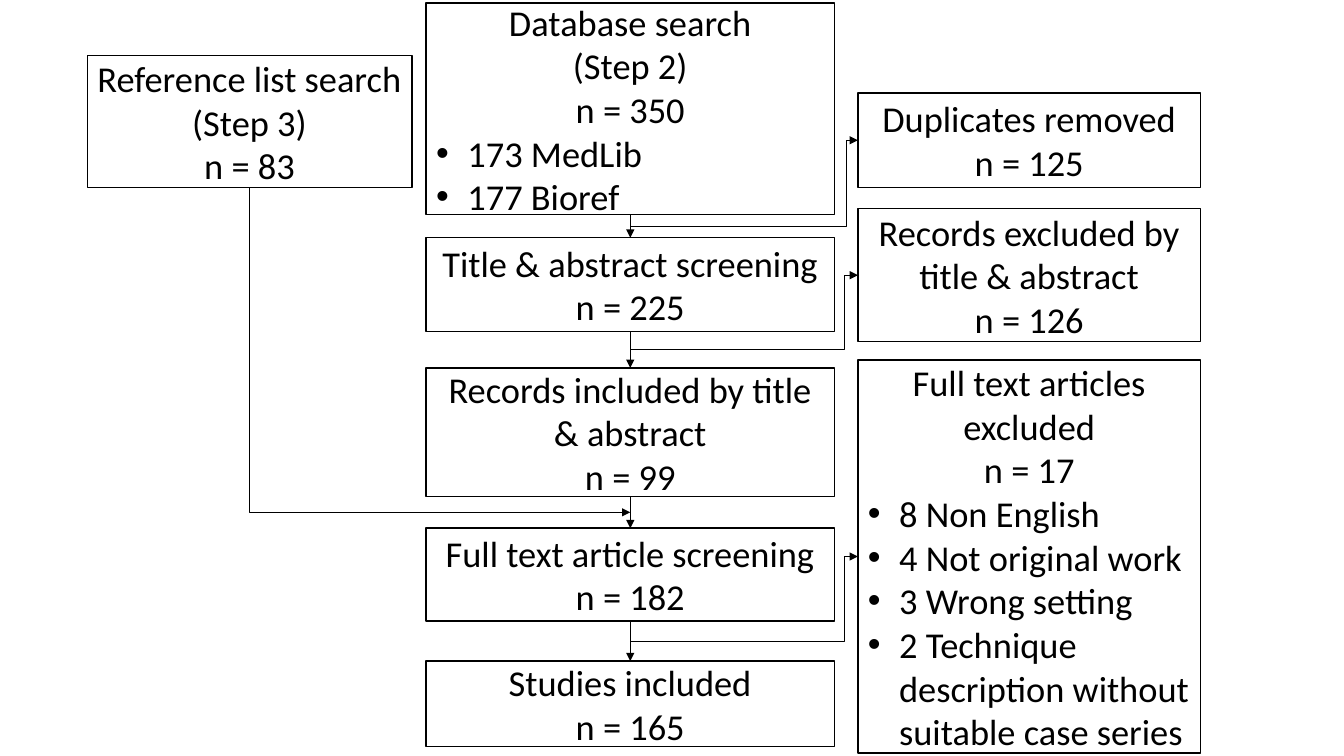
from collections import namedtuple

from lxml.etree import SubElement
from pptx import Presentation
from pptx.dml.color import RGBColor
from pptx.enum.shapes import MSO_CONNECTOR, MSO_SHAPE
from pptx.enum.text import MSO_ANCHOR, PP_ALIGN
from pptx.oxml.ns import qn
from pptx.util import Cm, Pt

COLORS = {"ink": "000000", "paper": "FFFFFF"}
FONT, SIZE = "Calibri", 26
INDENT = 0.79  # hanging indent of bullets, cm

# All regions are in centimetres
Region = namedtuple("Region", "left top width height")

# Top and height within the column, centred lines, bulleted lines
SCREENING = [
    (0, 5.33, ["Database search", "(Step 2)", "n = 350"],
     ["173 MedLib", "177 Bioref"]),
    (5.91, 2.36, ["Title & abstract screening", "n = 225"], []),
    (9.19, 3.24, ["Records included by title & abstract", "n = 99"], []),
    (13.23, 2.34, ["Full text article screening", "n = 182"], []),
    (16.58, 2.16, ["Studies included", "n = 165"], []),
]
EXCLUSIONS = [
    (0, 2.39, ["Duplicates removed", "n = 125"], []),
    (2.92, 3.35, ["Records excluded by title & abstract", "n = 126"], []),
    (6.73, 9.91, ["Full text articles excluded", "n = 17"],
     ["8 Non English", "4 Not original work", "3 Wrong setting",
      "2 Technique description without suitable case series"]),
]
REFERENCES = [(0, 3.33, ["Reference list search (Step 3)", "n = 83"], [])]


def color(name):
    return RGBColor.from_string(COLORS[name])


def write(para, text, size=SIZE, ink="ink", align=PP_ALIGN.CENTER, bullet=False):
    para.alignment = PP_ALIGN.LEFT if bullet else align
    span = para.add_run()
    span.text = text
    span.font.name, span.font.size = FONT, Pt(size)
    span.font.color.rgb = color(ink)
    if bullet:
        settings = para._p.get_or_add_pPr()
        settings.set("marL", str(Cm(INDENT)))
        settings.set("indent", str(-Cm(INDENT)))
        SubElement(settings, qn("a:buFont"), typeface="Arial")
        SubElement(settings, qn("a:buChar"), char="•")


def add_box(page, region, lines, bullets):
    box = page.shapes.add_shape(MSO_SHAPE.RECTANGLE, *map(Cm, region))
    box.shadow.inherit = False
    box.fill.solid()
    box.fill.fore_color.rgb = color("paper")
    box.line.color.rgb = color("ink")
    box.line.width = Pt(1)
    frame = box.text_frame
    frame.word_wrap = True
    frame.vertical_anchor = MSO_ANCHOR.MIDDLE
    frame.margin_top = frame.margin_bottom = 0
    for index, text in enumerate(lines + bullets):
        para = frame.add_paragraph() if index else frame.paragraphs[0]
        write(para, text, bullet=index >= len(lines))
    return box


def add_arrow(page, start, end, bend=None):
    """Straight arrow, or an elbow turning at the share `bend` of its width."""
    kind = MSO_CONNECTOR.STRAIGHT if bend is None else MSO_CONNECTOR.ELBOW
    arrow = page.shapes.add_connector(kind, *map(Cm, start + end))
    arrow.line.color.rgb = color("ink")
    arrow.line.width = Pt(0.5)
    properties = arrow._element.spPr
    SubElement(properties.find(qn("a:ln")), qn("a:tailEnd"), type="triangle")
    SubElement(properties, qn("a:effectLst"))
    if bend is not None:
        guides = properties.find(qn("a:prstGeom")).find(qn("a:avLst"))
        SubElement(guides, qn("a:gd"), name="adj1", fmla=f"val {round(bend * 100000)}")
    return arrow


def add_column(page, area, steps):
    """Stack boxes in the area and return their regions and shapes."""
    regions = [Region(area.left, area.top + top, area.width, height)
               for top, height, _, _ in steps]
    boxes = [add_box(page, region, lines, bullets)
             for region, (_, _, lines, bullets) in zip(regions, steps)]
    return regions, boxes


def add_screening(page, area):
    """Main column; returns the middle point of each gap between boxes."""
    regions, boxes = add_column(page, area, SCREENING)
    center = area.left + area.width / 2
    joints = []
    for index, (upper, lower) in enumerate(zip(regions, regions[1:])):
        bottom = upper.top + upper.height
        arrow = add_arrow(page, (center, bottom), (center, lower.top))
        arrow.begin_connect(boxes[index], 2)
        arrow.end_connect(boxes[index + 1], 0)
        joints.append((center, (bottom + lower.top) / 2))
    return joints


def add_exclusions(page, area, joints):
    """Right column, each box fed from a joint of the main column."""
    regions, _ = add_column(page, area, EXCLUSIONS)
    for region, joint, bend in zip(regions, joints, (0.95, 0.94, 0.94)):
        add_arrow(page, joint, (region.left, region.top + region.height / 2), bend)


def add_references(page, area, joint):
    """Left box, leading down and across to a joint of the main column."""
    (region,), _ = add_column(page, area, REFERENCES)
    start = (region.left + region.width / 2, region.top + region.height)
    add_arrow(page, start, joint, bend=0)


deck = Presentation()
deck.slide_width, deck.slide_height = Cm(33.87), Cm(19.05)
page = deck.slides.add_slide(deck.slide_layouts[6])
page.background.fill.solid()
page.background.fill.fore_color.rgb = color("paper")

joints = add_screening(page, Region(10.74, 0.08, 10.29, 18.74))
add_exclusions(page, Region(21.62, 2.34, 8.64, 16.64),
               [joints[0], joints[1], joints[3]])
add_references(page, Region(2.2, 1.4, 8.18, 3.33), joints[2])

deck.save("out.pptx")
